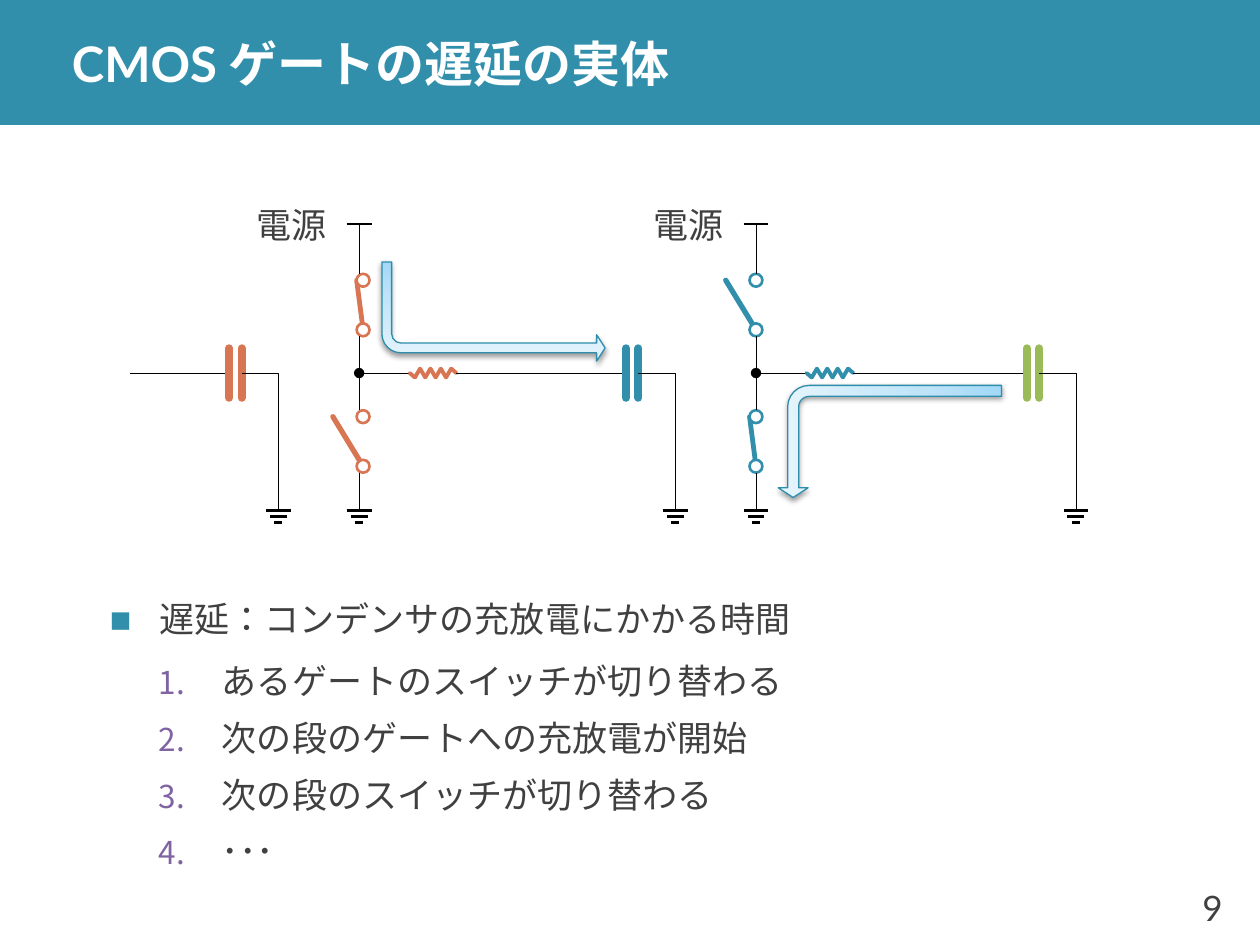
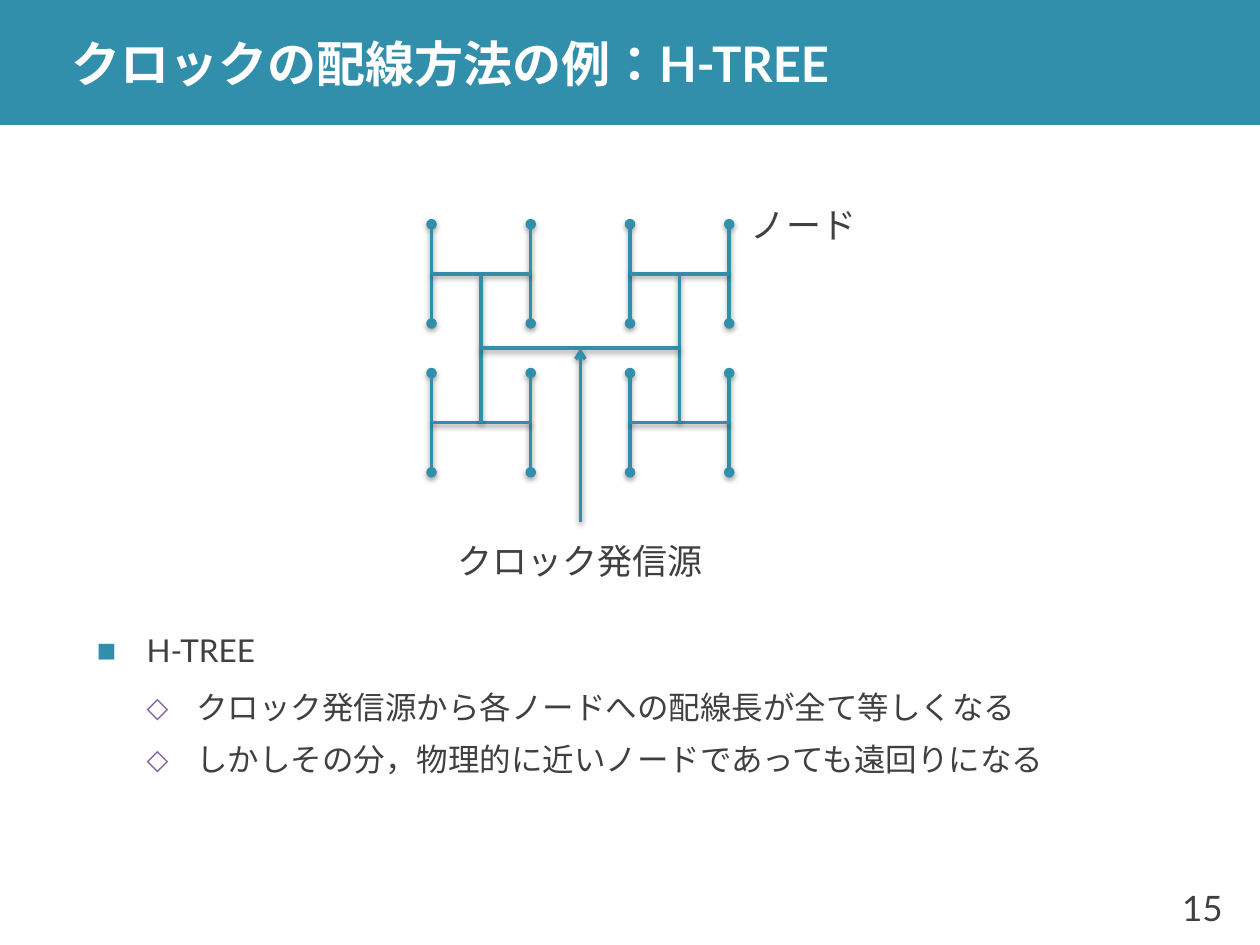
"""Build two lecture slides on CMOS gate delay and H-tree clock wiring."""
from itertools import pairwise

from pptx import Presentation
from pptx.dml.color import RGBColor
from pptx.enum.lang import MSO_LANGUAGE_ID
from pptx.enum.shapes import MSO_CONNECTOR, MSO_SHAPE
from pptx.enum.text import MSO_ANCHOR, MSO_AUTO_SIZE, PP_ALIGN
from pptx.oxml import parse_xml
from pptx.oxml.ns import nsdecls, qn
from pptx.util import Cm, Pt
from lxml.etree import SubElement

STRAIGHT = MSO_CONNECTOR.STRAIGHT
RECTANGLE, OVAL, BENT_ARROW = MSO_SHAPE.RECTANGLE, MSO_SHAPE.OVAL, MSO_SHAPE.BENT_ARROW
MIDDLE, NO_FIT = MSO_ANCHOR.MIDDLE, MSO_AUTO_SIZE.NONE
LEFT, CENTER, RIGHT = PP_ALIGN.LEFT, PP_ALIGN.CENTER, PP_ALIGN.RIGHT
JAPANESE = MSO_LANGUAGE_ID.JAPANESE

FONT = "Lato"
TEAL, ORANGE, GREEN, PURPLE = "328FAC", "D87552", "9BBB59", "8064A2"
INK, BLACK, WHITE = "404040", "000000", "FFFFFF"
FLOW_EDGE = "2E8DAB"
FLOW_STOPS = [(0, "A2D9F7"), (35, "BFE4F8"), (100, "E6F5FD")]
PAGE_WIDTH, PAGE_HEIGHT, BAND_HEIGHT = 25.4, 19.05, 2.52

DELAY = {
    "title": "CMOS ゲートの遅延の実体",
    "number": "9",
    "body": (1.96, 13.28, 22.96, 3.99),
    "bottom_inset": 1.14,
    "size": 20,
    "heading": "遅延：コンデンサの充放電にかかる時間",
    "marker": None,
    "indent": (2.26, 1.27),
    "items": ["あるゲートのスイッチが切り替わる", "次の段のゲートへの充放電が開始",
              "次の段のスイッチが切り替わる", "･･･"],
    "labels": [("電源", 4.88, 3.53, 2), ("電源", 12.88, 3.53, 2)],
}
TREE = {
    "title": "クロックの配線方法の例：H-TREE",
    "number": "15",
    "body": (1.7, 10.03, 22, 8.26),
    "bottom_inset": 0.13,
    "size": 18,
    "heading": "H-TREE",
    "marker": "◇",
    "indent": (2, 1),
    "items": ["クロック発信源から各ノードへの配線長が全て等しくなる",
              "しかしその分，物理的に近いノードであっても遠回りになる"],
    "labels": [("クロック発信源", 8.7, 10.29, 6), ("ノード", 14.8, 3.53, 2.8)],
}

GATES = [
    {"x": 7.24, "switch_x": 7.32, "color": ORANGE, "upper_closed": True},
    {"x": 15.24, "switch_x": 15.24, "color": TEAL, "upper_closed": False},
]
CAPACITORS = [(4.62, ORANGE), (12.62, TEAL), (20.7, GREEN)]
FLOWS = [((7.7, 5.28, 4.5, 2), 180), ((16.81, 6.65, 2.26, 4.5), 270)]
INPUT_X, SUPPLY_Y, WIRE_Y, GROUND_Y = 2.62, 4.52, 7.52, 10.29
UPPER_SWITCH_Y, LOWER_SWITCH_Y, SWITCH_GAP = 5.65, 8.4, 1
PLATE_GAP, PLATE_HALF, GROUND_OFFSET = 0.25, 0.5, 0.99
RESISTOR_OFFSET, RESISTOR_LENGTH, ZIGZAG = 1.02, 0.94, 0.09
CONTACT = 0.26

TREE_X, TREE_Y = 8.7, 4.52
H_SIZE, H_STEP_X, H_STEP_Y = 2, 4, 3


def rgb(color):
    return RGBColor.from_string(color)


def add_node(parent, tag, **attributes):
    return SubElement(parent, qn(tag), attributes)


def set_effect(item, shadow):
    effects = add_node(item.element.spPr, "a:effectLst")
    if shadow:
        outer = add_node(effects, "a:outerShdw", blurRad="40000", dist="20000",
                         dir="5400000", rotWithShape="0")
        color = add_node(outer, "a:srgbClr", val=BLACK)
        add_node(color, "a:alpha", val="38000")


def set_line(item, color, width):
    item.line.color.rgb = rgb(color)
    item.line.width = Pt(width)


def add_line(page, start, end, color=BLACK, width=0.25, cap="flat",
             head=None, tail=None, shadow=False):
    line = page.shapes.add_connector(STRAIGHT, *map(Cm, (*start, *end)))
    set_line(line, color, width)
    outline = line.element.spPr.find(qn("a:ln"))
    outline.set("cap", cap)
    for tag, kind in (("a:headEnd", head), ("a:tailEnd", tail)):
        if kind:
            add_node(outline, tag, type=kind)
    set_effect(line, shadow)


def style_text(para, size, color, bold=False):
    for span in para.runs:
        span.font.name = FONT
        span.font.size = Pt(size)
        span.font.bold = bold
        span.font.color.rgb = rgb(color)
        span.font.language_id = JAPANESE


def add_label(page, text, place, align):
    box = page.shapes.add_textbox(*map(Cm, place))
    frame = box.text_frame
    frame.word_wrap = True
    frame.vertical_anchor = MIDDLE
    frame.text = text
    frame.paragraphs[0].alignment = align
    style_text(frame.paragraphs[0], 20, INK)


def place_holder(holder, place):
    holder.left, holder.top, holder.width, holder.height = map(Cm, place)
    holder.text_frame.auto_size = NO_FIT
    holder.text_frame.vertical_anchor = MIDDLE
    return holder.text_frame


def format_item(para, level, size, left, hanging, marker, color):
    para.level = level
    para.alignment = LEFT
    para.line_spacing = 1.1
    para.space_before, para.space_after = (Pt(3), Pt(3)) if level else (Pt(24), Pt(6))
    style_text(para, size, INK)
    properties = para._p.get_or_add_pPr()
    properties.set("marL", str(Cm(left)))
    properties.set("indent", str(-Cm(hanging)))
    add_node(add_node(properties, "a:buClr"), "a:srgbClr", val=color)
    add_node(properties, "a:buSzPct", val="90000" if level else "65000")
    add_node(properties, "a:buFont", typeface=FONT)
    if marker:
        add_node(properties, "a:buChar", char=marker)
    else:
        add_node(properties, "a:buAutoNum", type="arabicPeriod")


def add_band(page, layout):
    band = page.shapes.add_shape(RECTANGLE, 0, 0, Cm(PAGE_WIDTH), Cm(BAND_HEIGHT))
    band.fill.solid()
    band.fill.fore_color.rgb = rgb(TEAL)
    band.line.fill.background()
    band.shadow.inherit = False
    layout.shapes.element.insert(2, band.element)


def add_page(deck, content):
    page = deck.slides.add_slide(deck.slide_layouts[1])
    frame = place_holder(page.shapes.title, (1.2, 0, 24.2, BAND_HEIGHT))
    frame.margin_left = frame.margin_right = Cm(0.25)
    frame.margin_top = frame.margin_bottom = 0
    frame.text = content["title"]
    frame.paragraphs[0].alignment = LEFT
    style_text(frame.paragraphs[0], 28, WHITE, bold=True)

    frame = place_holder(page.placeholders[1], content["body"])
    frame.margin_bottom = Cm(content["bottom_inset"])
    frame.text = "\n".join([content["heading"], *content["items"]])
    heading, *items = frame.paragraphs
    format_item(heading, 0, content["size"], 1, 1, "■", TEAL)
    for item in items:
        format_item(item, 1, content["size"], *content["indent"], content["marker"], PURPLE)

    for text, left, top, width in content["labels"]:
        add_label(page, text, (left, top, width, 2), CENTER)
    add_label(page, content["number"], (23.2, 17.53, 1.7, 1.52), RIGHT)
    return page


def draw_ground(page, x):
    for step, half in enumerate((0.25, 0.17, 0.08)):
        y = GROUND_Y + 0.12 * step
        add_line(page, (x - half, y), (x + half, y), width=1.5)


def draw_switch(page, x, top, color, closed):
    swing, width = (0.13, 2.75) if closed else (0.61, 3)
    bottom = top + SWITCH_GAP
    add_line(page, (x - swing, top), (x, bottom), color, width, cap="rnd")
    for y in (bottom, top):
        contact = page.shapes.add_shape(OVAL, Cm(x - CONTACT / 2), Cm(y - CONTACT / 2),
                                        Cm(CONTACT), Cm(CONTACT))
        contact.fill.solid()
        contact.fill.fore_color.rgb = rgb(WHITE)
        set_line(contact, color, 1.5)
        contact.shadow.inherit = False


def draw_resistor(page, left, color):
    step = RESISTOR_LENGTH / 9
    heights = [0, *[ZIGZAG, -ZIGZAG] * 4, 0]
    points = [(left + step * i, WIRE_Y + height) for i, height in enumerate(heights)]
    for start, end in pairwise(points):
        add_line(page, start, end, color, 2.25, cap="rnd")


def draw_gate(page, gate, next_plate):
    x, color, closed = gate["x"], gate["color"], gate["upper_closed"]
    draw_switch(page, gate["switch_x"], UPPER_SWITCH_Y, color, closed)
    draw_switch(page, gate["switch_x"], LOWER_SWITCH_Y, color, not closed)
    radius = CONTACT / 2
    for top, bottom in ((SUPPLY_Y, UPPER_SWITCH_Y - radius),
                        (UPPER_SWITCH_Y + SWITCH_GAP + radius, LOWER_SWITCH_Y - radius),
                        (LOWER_SWITCH_Y + SWITCH_GAP + radius, GROUND_Y)):
        add_line(page, (x, top), (x, bottom))
    add_line(page, (x - 0.25, SUPPLY_Y), (x + 0.25, SUPPLY_Y), width=1.5)
    draw_ground(page, x)
    left = x + RESISTOR_OFFSET
    add_line(page, (left, WIRE_Y), (x, WIRE_Y), tail="oval")
    draw_resistor(page, left, color)
    add_line(page, (left + RESISTOR_LENGTH, WIRE_Y), (next_plate, WIRE_Y))


def draw_capacitor(page, plate, color):
    for x in (plate, plate + PLATE_GAP):
        add_line(page, (x, WIRE_Y - PLATE_HALF), (x, WIRE_Y + PLATE_HALF), color, 4.5, cap="rnd")
    ground_x = plate + GROUND_OFFSET
    outline = page.shapes.build_freeform(Cm(plate + PLATE_GAP), Cm(WIRE_Y))
    outline.add_line_segments([(Cm(ground_x), Cm(WIRE_Y)), (Cm(ground_x), Cm(GROUND_Y))],
                              close=False)
    wire = outline.convert_to_shape()
    wire.fill.background()
    set_line(wire, BLACK, 0.25)
    wire.shadow.inherit = False
    draw_ground(page, ground_x)


def draw_flow(page, place, rotation):
    flow = page.shapes.add_shape(BENT_ARROW, *map(Cm, place))
    for index, value in enumerate((0.098, 0.133, 0.086, 0.192)):
        flow.adjustments[index] = value
    flow.rotation = rotation
    properties = flow.element.spPr
    properties.find(qn("a:xfrm")).set("flipH", "1")
    flow.fill.gradient()
    stops = "".join(f'<a:gs pos="{position * 1000}"><a:srgbClr val="{color}"/></a:gs>'
                    for position, color in FLOW_STOPS)
    gradient = parse_xml(f'<a:gradFill {nsdecls("a")} rotWithShape="1"><a:gsLst>{stops}</a:gsLst>'
                         '<a:lin ang="16200000" scaled="1"/></a:gradFill>')
    properties.replace(properties.find(qn("a:gradFill")), gradient)
    set_line(flow, FLOW_EDGE, 0.75)
    set_effect(flow, True)


def draw_circuit(page):
    add_line(page, (INPUT_X, WIRE_Y), (CAPACITORS[0][0], WIRE_Y))
    for gate, (plate, _) in zip(GATES, CAPACITORS[1:]):
        draw_gate(page, gate, plate)
    for plate, color in CAPACITORS:
        draw_capacitor(page, plate, color)
    for place, rotation in FLOWS:
        draw_flow(page, place, rotation)


def draw_tree(page):
    def branch(start, end, **ends):
        add_line(page, start, end, TEAL, 2, shadow=True, **ends)

    half = H_SIZE / 2
    lefts = [TREE_X, TREE_X + H_STEP_X]
    tops = [TREE_Y, TREE_Y + H_STEP_Y]
    for left in lefts:
        for top in tops:
            for x in (left, left + H_SIZE):
                branch((x, top), (x, top + H_SIZE), head="oval", tail="oval")
            branch((left, top + half), (left + H_SIZE, top + half))
        branch((left + half, tops[0] + half), (left + half, tops[1] + half))
    middle_x = TREE_X + (H_STEP_X + H_SIZE) / 2
    middle_y = TREE_Y + (H_STEP_Y + H_SIZE) / 2
    branch((lefts[0] + half, middle_y), (lefts[1] + half, middle_y))
    branch((middle_x, middle_y + 3.5), (middle_x, middle_y), tail="arrow")


def main():
    deck = Presentation()
    deck.slide_width, deck.slide_height = Cm(PAGE_WIDTH), Cm(PAGE_HEIGHT)
    delay_page = add_page(deck, DELAY)
    add_band(delay_page, deck.slide_layouts[1])
    draw_circuit(delay_page)
    draw_tree(add_page(deck, TREE))
    deck.save("out.pptx")


if __name__ == "__main__":
    main()
